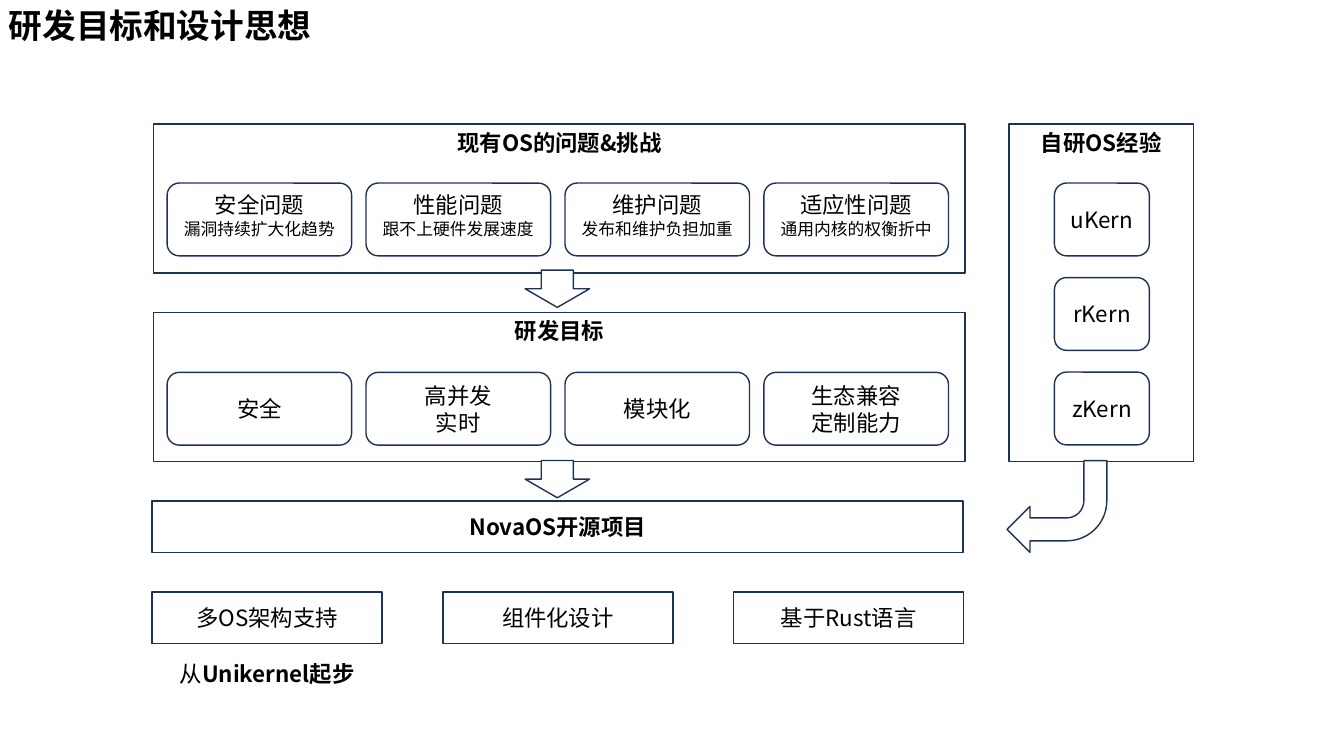
from dataclasses import dataclass

from lxml.etree import SubElement
from pptx import Presentation
from pptx.dml.color import RGBColor
from pptx.enum.shapes import MSO_SHAPE as Preset
from pptx.enum.text import MSO_ANCHOR as Anchor
from pptx.enum.text import MSO_AUTO_SIZE as AutoSize
from pptx.enum.text import PP_ALIGN as Align
from pptx.oxml.ns import qn
from pptx.shapes.autoshape import Shape
from pptx.slide import Slide
from pptx.text.text import _Run as Run
from pptx.util import Pt

FONT = "Noto Sans CJK SC"
NAVY = RGBColor(0x1E, 0x32, 0x56)
WHITE = RGBColor(0xFF, 0xFF, 0xFF)
BLACK = RGBColor(0x00, 0x00, 0x00)

BODY_SIZE = 16
DETAIL_SIZE = 12
TITLE_SIZE = 24

CARD_LEFT, CARD_STEP, CARD_WIDTH, CARD_HEIGHT = 119.4, 142.1, 131.8, 52
PROBLEM_TOP, GOAL_TOP = 130.8, 266
KERNEL_LEFT, KERNEL_WIDTH, KERNEL_STEP = 753.2, 67.8, 67.5
PROJECT_LEFT, STRIP_HEIGHT = 108.7, 36.8
FEATURE_WIDTH, FEATURE_STEP = 164.2, 207.7


@dataclass(frozen=True)
class Box:
    left: float
    top: float
    width: float
    height: float
    text: str = ""
    preset: Preset = Preset.RECTANGLE
    anchor: Anchor = Anchor.MIDDLE
    bold: bool = False
    later_size: int = BODY_SIZE
    outline: RGBColor = NAVY
    rotation: int = 0


def format_run(run: Run, size: int, bold: bool) -> None:
    run.font.name = FONT
    run.font.size = Pt(size)
    run.font.bold = bold
    run.font.color.rgb = BLACK
    SubElement(run.font._element, qn("a:ea"), typeface=FONT)


def draw_box(slide: Slide, box: Box) -> Shape:
    shape = slide.shapes.add_shape(
        box.preset, Pt(box.left), Pt(box.top), Pt(box.width), Pt(box.height)
    )
    shape.shadow.inherit = False
    shape.rotation = box.rotation
    shape.fill.solid()
    shape.fill.fore_color.rgb = WHITE
    shape.line.color.rgb = box.outline
    shape.line.width = Pt(1)
    frame = shape.text_frame
    frame.word_wrap = True
    frame.vertical_anchor = box.anchor
    frame.text = box.text
    for index, paragraph in enumerate(frame.paragraphs):
        paragraph.alignment = Align.CENTER
        for run in paragraph.runs:
            format_run(run, box.later_size if index else BODY_SIZE, box.bold)
    return shape


def draw_title(slide: Slide, text: str) -> None:
    title = slide.shapes.add_textbox(Pt(-0.7), Pt(0), Pt(230.4), Pt(36))
    frame = title.text_frame
    frame.word_wrap = False
    frame.auto_size = AutoSize.SHAPE_TO_FIT_TEXT
    frame.text = text
    format_run(frame.paragraphs[0].runs[0], TITLE_SIZE, True)


def draw_starting_point(slide: Slide) -> None:
    note = draw_box(
        slide,
        Box(PROJECT_LEFT, 463, FEATURE_WIDTH, STRIP_HEIGHT, "从", outline=WHITE),
    )
    kernel_style = note.text_frame.paragraphs[0].add_run()
    kernel_style.text = "Unikernel起步"
    format_run(kernel_style, BODY_SIZE, True)


def panels() -> list[Box]:
    contents = [
        (109.8, 88.6, 579.6, 106.4, "现有OS的问题&挑战"),
        (109.8, 223.2, 579.6, 106.4, "研发目标"),
        (720.7, 88.6, 131.8, 241, "自研OS经验"),
    ]
    return [Box(*content, anchor=Anchor.TOP, bold=True) for content in contents]


def cards(top: float, texts: list[str], anchor: Anchor, later_size: int) -> list[Box]:
    return [
        Box(CARD_LEFT + column * CARD_STEP, top, CARD_WIDTH, CARD_HEIGHT, text,
            Preset.ROUNDED_RECTANGLE, anchor, later_size=later_size)
        for column, text in enumerate(texts)
    ]


def kernels() -> list[Box]:
    return [
        Box(KERNEL_LEFT, PROBLEM_TOP + row * KERNEL_STEP, KERNEL_WIDTH, CARD_HEIGHT,
            name, Preset.ROUNDED_RECTANGLE)
        for row, name in enumerate(["uKern", "rKern", "zKern"])
    ]


def features() -> list[Box]:
    return [
        Box(PROJECT_LEFT + column * FEATURE_STEP, 422.8, FEATURE_WIDTH, STRIP_HEIGHT, text)
        for column, text in enumerate(["多OS架构支持", "组件化设计", "基于Rust语言"])
    ]


def arrows() -> list[Box]:
    steps = [
        Box(375.1, top, 46, 26.6, preset=Preset.DOWN_ARROW) for top in (193, 329)
    ]
    experience = Box(719.3, 329, 71.3, 65.5, preset=Preset.BENT_ARROW, rotation=180)
    return [*steps, experience]


def main() -> None:
    deck = Presentation()
    deck.slide_width, deck.slide_height = Pt(960), Pt(540)
    slide = deck.slides.add_slide(deck.slide_layouts[6])
    problems = [
        "安全问题\n漏洞持续扩大化趋势",
        "性能问题\n跟不上硬件发展速度",
        "维护问题\n发布和维护负担加重",
        "适应性问题\n通用内核的权衡折中",
    ]
    goals = ["安全", "高并发\n实时", "模块化", "生态兼容\n定制能力"]
    project = Box(PROJECT_LEFT, 358, 579.3, STRIP_HEIGHT, "NovaOS开源项目", bold=True)

    draw_title(slide, "研发目标和设计思想")
    for box in [
        *panels(),
        *cards(PROBLEM_TOP, problems, Anchor.TOP, DETAIL_SIZE),
        *cards(GOAL_TOP, goals, Anchor.MIDDLE, BODY_SIZE),
        *kernels(),
        project,
        *features(),
        *arrows(),
    ]:
        draw_box(slide, box)
    draw_starting_point(slide)
    deck.save("out.pptx")


if __name__ == "__main__":
    main()
